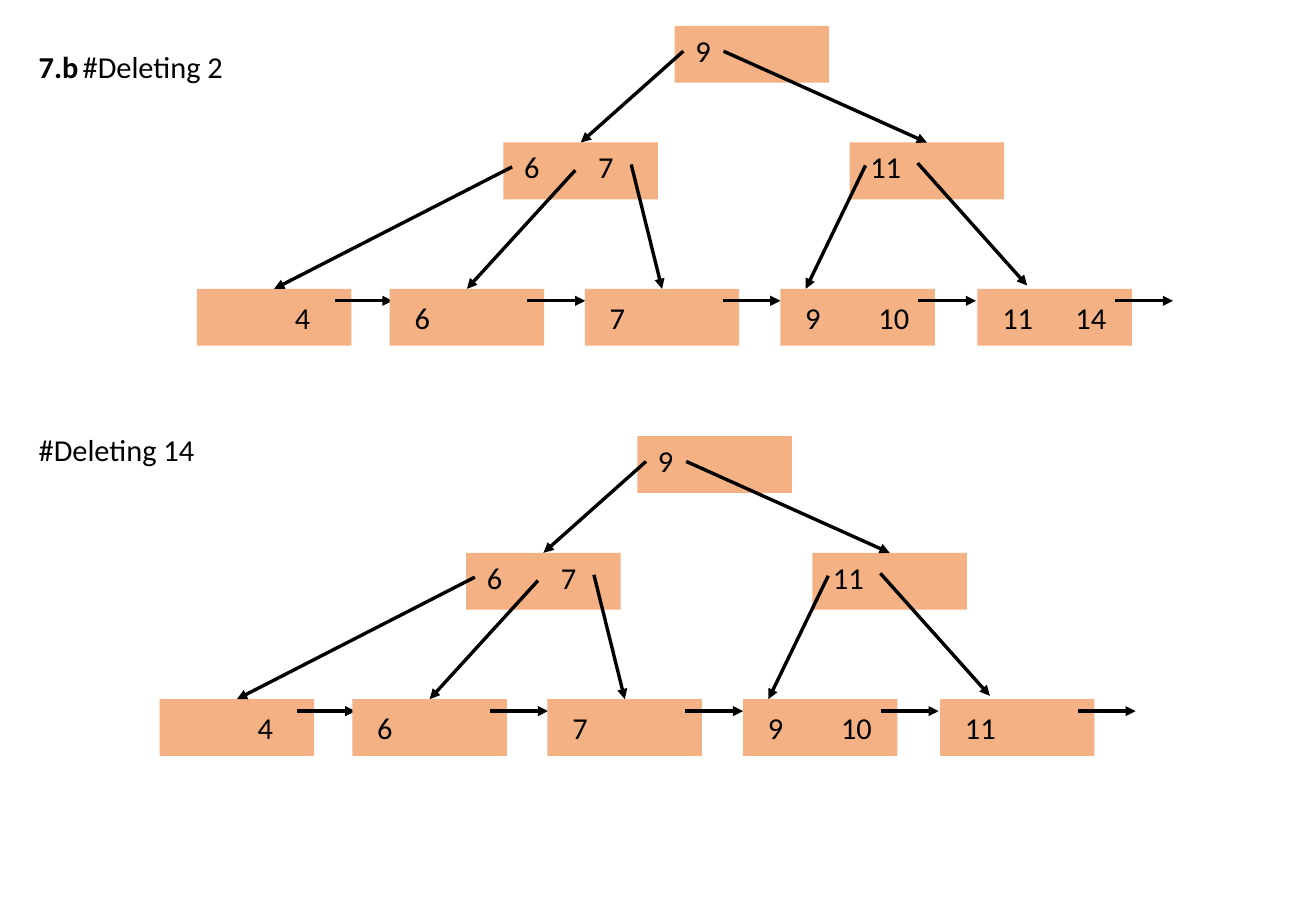
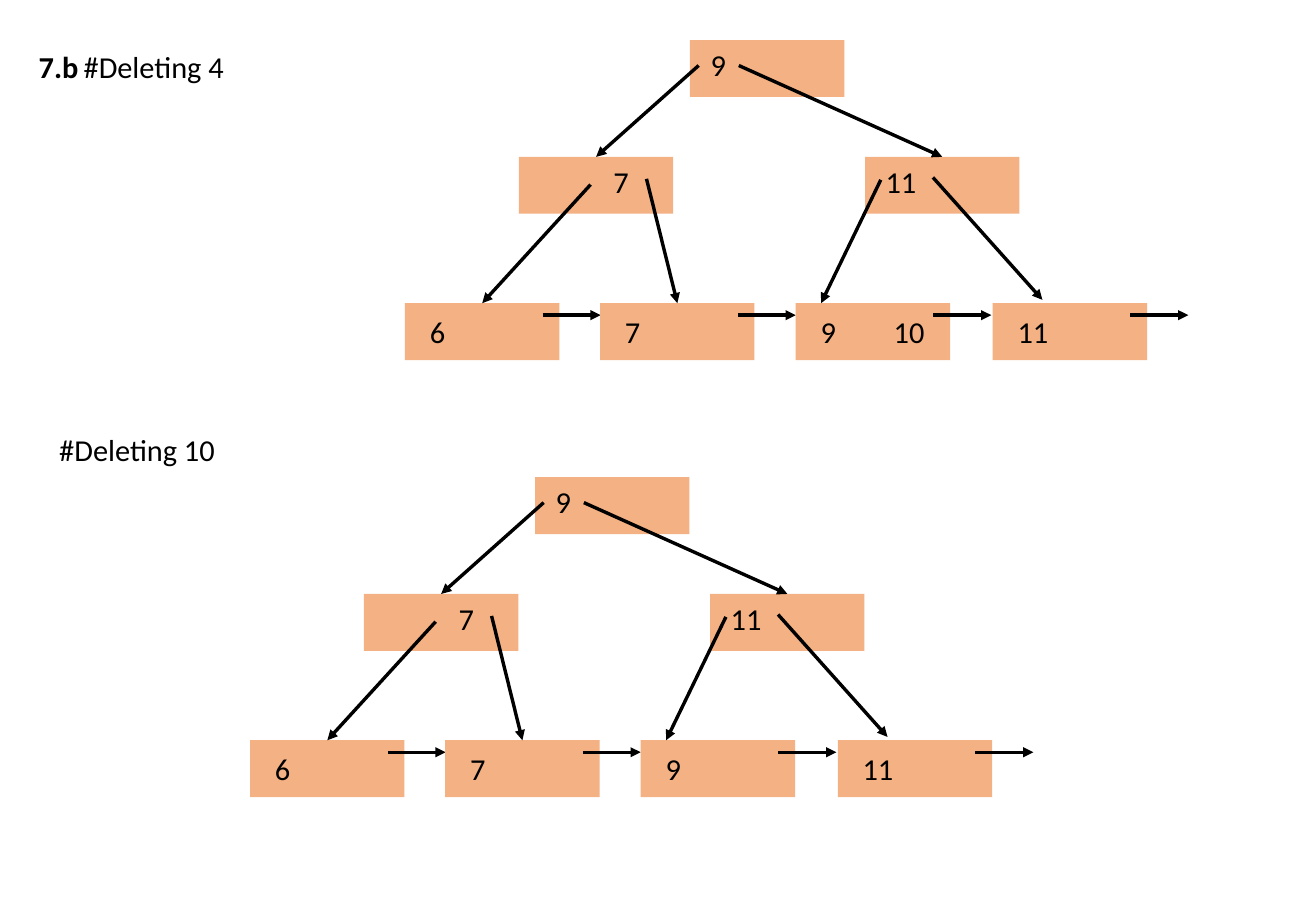
from lxml.etree import SubElement
from pptx import Presentation
from pptx.dml.color import RGBColor
from pptx.enum.shapes import MSO_CONNECTOR, MSO_SHAPE
from pptx.enum.text import MSO_AUTO_SIZE
from pptx.oxml.ns import qn
from pptx.util import Cm, Pt

# Node geometry in cm
NODE_W, NODE_H = 3.23, 1.19
INNER_SLOTS, LEAF_SLOTS = (0.18, 1.73), (0.27, 1.8)
KEY_WIDTHS = {1: 0.83, 2: 1.16}

# Node positions relative to the root
LEFT_X, RIGHT_X, INNER_Y = -3.58, 3.66, 2.44
LEAF_XS, LEAF_Y = (-9.99, -5.96, -1.88, 2.21, 6.33), 5.5

# Per leaf: parent x, pointer start inside the parent, pointer end on the leaf
LEAF_LINKS = (
    (LEFT_X, (0.18, 0.51), (NODE_W / 2, 0)),
    (LEFT_X, (1.5, 0.58), (NODE_W / 2, 0)),
    (LEFT_X, (2.67, 0.46), (NODE_W / 2, 0)),
    (RIGHT_X, (0.33, 0.48), (0.53, 0)),
    (RIGHT_X, (1.42, 0.43), (1.04, -0.07)),
)


def color(value):
    return RGBColor.from_string(value)


class Deck:
    font, size, ink, node_fill = "Calibri", Pt(18), "000000", "F4B183"

    def __init__(self):
        self.prs = Presentation()
        self.prs.slide_width, self.prs.slide_height = Cm(27.52), Cm(19.05)

    def slide(self):
        self.s = self.prs.slides.add_slide(self.prs.slide_layouts[6])

    def text(self, text, x, y, w, bold=False):
        tf = self.s.shapes.add_textbox(Cm(x), Cm(y), Cm(w), Cm(1.03)).text_frame
        tf.word_wrap = False
        tf.auto_size = MSO_AUTO_SIZE.SHAPE_TO_FIT_TEXT
        p = tf.paragraphs[0]
        p.text = text
        p.font.name, p.font.size, p.font.bold = self.font, self.size, bold
        p.font.color.rgb = color(self.ink)

    def arrow(self, x1, y1, x2, y2):
        line = self.s.shapes.add_connector(
            MSO_CONNECTOR.STRAIGHT, Cm(x1), Cm(y1), Cm(x2), Cm(y2))
        line.line.color.rgb = color(self.ink)
        line.line.width = Pt(2)
        SubElement(line.line._get_or_add_ln(), qn("a:tailEnd"), type="triangle")
        SubElement(line._element.spPr, qn("a:effectLst"))

    def node(self, x, y, keys, slots, key_dy=0):
        sp = self.s.shapes.add_shape(
            MSO_SHAPE.RECTANGLE, Cm(x), Cm(y), Cm(NODE_W), Cm(NODE_H))
        sp.shadow.inherit = False
        sp.fill.solid()
        sp.fill.fore_color.rgb = color(self.node_fill)
        sp.line.fill.background()
        for key, dx in zip(keys, slots):
            if key:
                self.text(key, x + dx, y + key_dy, KEY_WIDTHS[len(key)])

    def leaf(self, x, y, keys):
        self.node(x, y, keys, LEAF_SLOTS, 0.09)
        self.arrow(x + 2.88, y + 0.25, x + 4.09, y + 0.25)

    def tree(self, x, y, left_keys, leaves):
        inner_y, leaf_y = y + INNER_Y, y + LEAF_Y
        # Root and inner nodes
        self.node(x, y, ["9"], INNER_SLOTS)
        for dx, keys, start in ((LEFT_X, left_keys, 0.18), (RIGHT_X, ["11"], 1.02)):
            self.node(x + dx, inner_y, keys, INNER_SLOTS)
            self.arrow(x + start, y + 0.53, x + dx + NODE_W / 2, inner_y)
        # Leaves and the pointers to them
        for dx, keys, link in zip(LEAF_XS, leaves, LEAF_LINKS):
            if keys:
                parent_x, (sx, sy), (ex, ey) = link
                self.leaf(x + dx, leaf_y, keys)
                self.arrow(x + parent_x + sx, inner_y + sy,
                           x + dx + ex, leaf_y + ey)


deck = Deck()

# Deleting 2 and 14
deck.slide()
deck.text("7.b", 0.56, 0.89, 1.35, bold=True)
deck.text("#Deleting 2", 1.48, 0.89, 3.48)
deck.tree(14.11, 0.54, ["6", "7"],
          [["", "4"], ["6"], ["7"], ["9", "10"], ["11", "14"]])
deck.text("#Deleting 14", 0.56, 8.9, 3.81)
deck.tree(13.33, 9.12, ["6", "7"],
          [["", "4"], ["6"], ["7"], ["9", "10"], ["11"]])

# Deleting 4 and 10
deck.slide()
deck.text("7.b", 0.56, 0.89, 1.35, bold=True)
deck.text("#Deleting 4", 1.5, 0.89, 3.48)
deck.tree(14.43, 0.84, ["", "7"], [None, ["6"], ["7"], ["9", "10"], ["11"]])
deck.text("#Deleting 10", 0.99, 8.9, 3.81)
deck.tree(11.19, 9.98, ["", "7"], [None, ["6"], ["7"], ["9"], ["11"]])

deck.prs.save("out.pptx")
